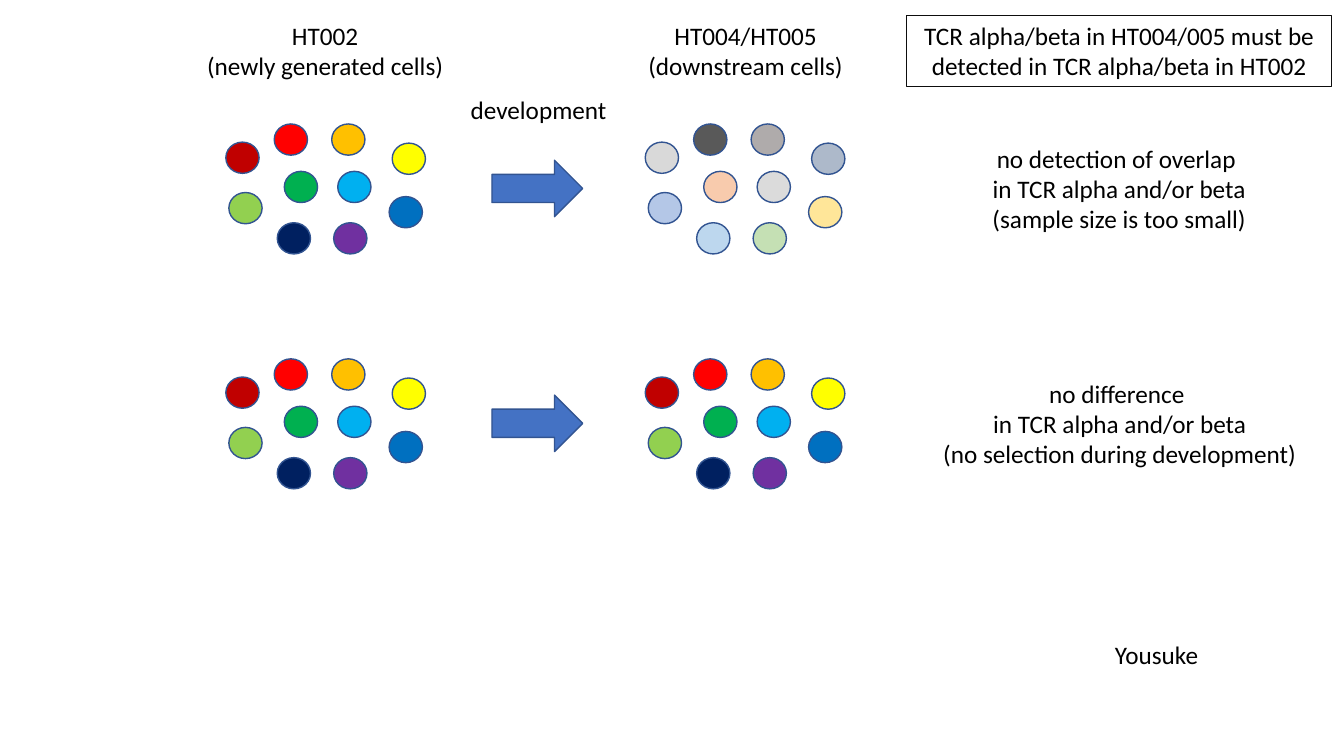
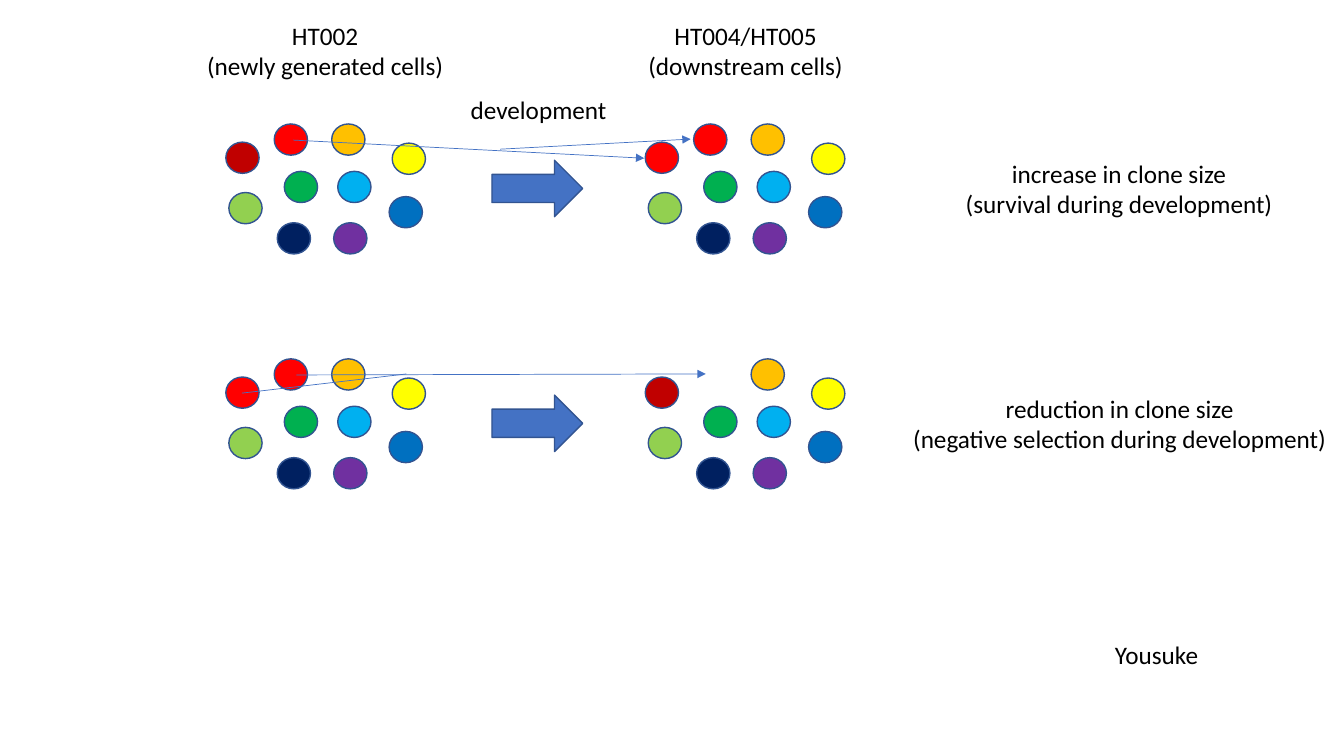
from dataclasses import dataclass

from lxml.etree import SubElement
from pptx import Presentation
from pptx.dml.color import RGBColor
from pptx.enum.shapes import MSO_CONNECTOR, MSO_SHAPE
from pptx.enum.text import MSO_ANCHOR, MSO_AUTO_SIZE, PP_ALIGN
from pptx.oxml.ns import qn
from pptx.util import Pt

PX = 9144


@dataclass(frozen=True)
class Theme:
    """Colours, font and sizes shared by the slides."""
    font: str = "Calibri"
    text_size: float = 18
    text: str = "000000"
    accent: str = "4472C4"
    outline: str = "325491"
    frame: str = "0D0D0D"
    shape_line: float = 1
    frame_line: float = 0.75
    link_line: float = 0.5


THEME = Theme()
CELL_WIDTH, CELL_HEIGHT = 33, 31
CELL_OFFSETS = {
    "outer left": (0, 18), "inner left": (58, 47), "top left": (48, 0),
    "inner right": (111, 47), "top right": (105, 0), "lower left": (3, 68),
    "bottom right": (107, 98), "lower right": (162, 72),
    "outer right": (165, 19), "bottom left": (51, 98),
}
CLONES = dict(zip(CELL_OFFSETS, (
    "C00000", "00B050", "FF0000", "00B0F0", "FFC000",
    "92D050", "7030A0", "0070C0", "FFFF00", "002060")))
UNRELATED = dict(zip(CELL_OFFSETS, (
    "D9D9D9", "F8CBAD", "595959", "DBDBDB", "AFABAB",
    "B4C7E7", "C5E0B4", "FFE699", "ADB9CA", "BDD7EE")))
EXPANDED = CLONES | {"outer left": CLONES["top left"]}
DELETED = {place: color for place, color in CLONES.items() if place != "top left"}

SOURCE_LEFT, TARGET_LEFT = 224, 640
ROW_TOP, ROW_PITCH, ROW_MIDDLE = 123, 233, 64
CAPTION_CENTER = 1110


def write(frame, text, align=PP_ALIGN.CENTER, wrap=False):
    """Write one paragraph per line of text into a text frame."""
    frame.word_wrap = wrap
    frame.auto_size = MSO_AUTO_SIZE.SHAPE_TO_FIT_TEXT
    for index, line in enumerate(text.split("\n")):
        paragraph = frame.add_paragraph() if index else frame.paragraphs[0]
        paragraph.alignment = align
        run = paragraph.add_run()
        run.text = line
        run.font.name = THEME.font
        run.font.size = Pt(THEME.text_size)
        run.font.color.rgb = RGBColor.from_string(THEME.text)


class Deck:
    """A presentation, its style and the slide being drawn."""

    def __init__(self, theme, width, height):
        """Start an empty presentation of the given size."""
        self.theme = theme
        self.presentation = Presentation()
        self.presentation.slide_width = width * PX
        self.presentation.slide_height = height * PX
        self.slide = None

    def add_slide(self):
        """Add a blank slide and make it current."""
        self.slide = self.presentation.slides.add_slide(
            self.presentation.slide_layouts[6])

    def label(self, text, left, top, width, **text_format):
        """Add a text box as tall as its lines."""
        height = 41 + 30 * text.count("\n")
        box = self.slide.shapes.add_textbox(
            left * PX, top * PX, width * PX, height * PX)
        write(box.text_frame, text, **text_format)

    def shape(self, kind, left, top, width, height, fill, line, line_width, parent=None):
        """Add a preset shape to the slide or to a group."""
        shapes = (parent or self.slide).shapes
        shape = shapes.add_shape(kind, left * PX, top * PX, width * PX, height * PX)
        shape.shadow.inherit = False
        if fill:
            shape.fill.solid()
            shape.fill.fore_color.rgb = RGBColor.from_string(fill)
        else:
            shape.fill.background()
        shape.line.color.rgb = RGBColor.from_string(line)
        shape.line.width = Pt(line_width)
        return shape

    def framed(self, text, left, top, width, height):
        """Add wrapped text in an outlined rectangle."""
        box = self.shape(MSO_SHAPE.RECTANGLE, left, top, width, height,
                         None, self.theme.frame, self.theme.frame_line)
        box.text_frame.vertical_anchor = MSO_ANCHOR.TOP
        write(box.text_frame, text, wrap=True)

    def cluster(self, left, top, colors):
        """Add a group of cells coloured by place."""
        group = self.slide.shapes.add_group_shape()
        for place, color in colors.items():
            across, down = CELL_OFFSETS[place]
            self.shape(MSO_SHAPE.OVAL, left + across, top + down,
                       CELL_WIDTH, CELL_HEIGHT, color, self.theme.outline,
                       self.theme.shape_line, parent=group)

    def link(self, start, end, arrow=True):
        """Add a thin line between two points."""
        points = [value * PX for value in (*start, *end)]
        connector = self.slide.shapes.add_connector(MSO_CONNECTOR.STRAIGHT, *points)
        connector.line.color.rgb = RGBColor.from_string(self.theme.accent)
        connector.line.width = Pt(self.theme.link_line)
        properties = connector.element.spPr
        if arrow:
            SubElement(properties.find(qn("a:ln")), qn("a:tailEnd"), type="triangle")
        SubElement(properties, qn("a:effectLst"))

    def row(self, index, source, target, caption, caption_width):
        """Add one development outcome with its caption."""
        top = ROW_TOP + index * ROW_PITCH
        middle = top + ROW_MIDDLE
        self.cluster(SOURCE_LEFT, top, source)
        self.cluster(TARGET_LEFT, top, target)
        self.shape(MSO_SHAPE.RIGHT_ARROW, 488, middle - 28, 90, 56,
                   self.theme.accent, self.theme.outline, self.theme.shape_line)
        caption_top = middle - 20 - 15 * caption.count("\n")
        self.label(caption, CAPTION_CENTER - caption_width // 2, caption_top, caption_width)

    def outcomes(self, rows):
        """Add a slide with headings, outcome rows and the author."""
        self.add_slide()
        self.label("HT002\n(newly generated cells)", 194, 15, 257)
        self.label("HT004/HT005\n(downstream cells)", 632, 15, 215)
        for index, row in enumerate(rows):
            self.row(index, *row)
        self.label("development", 457, 89, 157, align=PP_ALIGN.LEFT)
        self.label("Yousuke", 1096, 629, 152, align=PP_ALIGN.LEFT, wrap=True)


def main():
    """Build and save the presentation."""
    deck = Deck(THEME, 1333, 750)
    deck.outcomes([
        (CLONES, UNRELATED,
         "no detection of overlap \nin TCR alpha and/or beta\n(sample size is too small)", 274),
        (CLONES, CLONES,
         "no difference \nin TCR alpha and/or beta\n(no selection during development)", 375),
    ])
    deck.framed("TCR alpha/beta in HT004/005 must be detected in TCR alpha/beta in HT002",
                899, 15, 422, 71)
    deck.outcomes([
        (CLONES, EXPANDED, "increase in clone size\n(survival during development)", 328),
        (EXPANDED, DELETED,
         "reduction in clone size\n(negative selection during development)", 435),
    ])
    deck.link((291, 139), (639, 157))
    deck.link((496, 148), (685, 138))
    deck.link((294, 372), (700, 371))
    deck.link((240, 390), (403, 371), arrow=False)
    deck.presentation.save("out.pptx")


if __name__ == "__main__":
    main()
